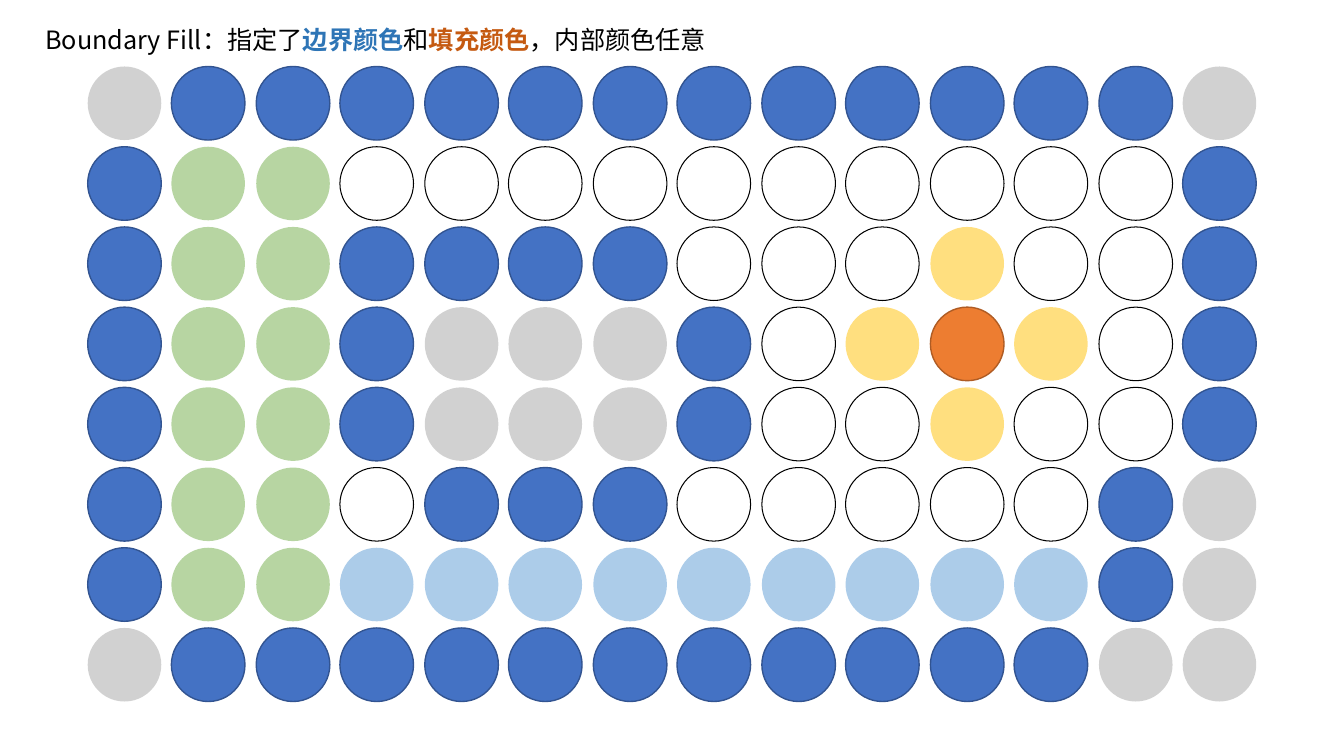
from pptx import Presentation
from pptx.dml.color import RGBColor
from pptx.enum.shapes import MSO_SHAPE as SHAPE
from pptx.oxml.ns import qn
from pptx.util import Inches, Pt
from lxml.etree import SubElement

FONT = "Noto Sans CJK SC"
TITLE = [
    ("Boundary Fill：指定了", "000000", False),
    ("边界颜色", "2E75B6", True),
    ("和", "000000", False),
    ("填充颜色", "C55A11", True),
    ("，内部颜色任意", "000000", False),
]
PIXELS = [
    "xBBBBBBBBBBBBx",
    "BGG..........B",
    "BGGBBBB...Y..B",
    "BGGBxxxB.YSY.B",
    "BGGBxxxB..Y..B",
    "BGG.BBB.....Bx",
    "BGGLLLLLLLLLBx",
    "xBBBBBBBBBBBxx",
]
STYLES = {
    "B": ("4472C4", 100, "325491", 1),
    "S": ("ED7D31", 100, "AF5C24", 1),
    ".": (None, 100, "000000", 0.75),
    "x": ("A5A5A5", 50, None, 0),
    "G": ("70AD47", 50, None, 0),
    "L": ("5B9BD5", 50, None, 0),
    "Y": ("FFC000", 50, None, 0),
}
LEFT, TOP, SIZE = 0.87, 0.66, 0.73
PAIR_PITCH, PAIR_STEP = 10.03 / 6, 0.83
ROW_PITCH = 5.57 / 7


def paint(fmt, color, alpha=100):
    fmt.solid()
    fmt.fore_color.rgb = RGBColor.from_string(color)
    if alpha < 100:
        clr = fmt.fore_color._xFill.find(qn("a:srgbClr"))
        SubElement(clr, qn("a:alpha")).set("val", str(alpha * 1000))


def add_pixel(s, col, row, kind):
    fill, alpha, line, width = STYLES[kind]
    pair, second = divmod(col, 2)
    x = LEFT + pair * PAIR_PITCH + second * PAIR_STEP
    y = TOP + row * ROW_PITCH
    sp = s.shapes.add_shape(SHAPE.OVAL, Inches(x), Inches(y), Inches(SIZE), Inches(SIZE))
    sp.shadow.inherit = False
    if fill:
        paint(sp.fill, fill, alpha)
    else:
        sp.fill.background()
    if line:
        paint(sp.line.fill, line)
        sp.line.width = Pt(width)
    else:
        sp.line.fill.background()


def add_title(s):
    tf = s.shapes.add_textbox(Inches(0.35), Inches(0.19), Inches(7.45), Inches(0.4)).text_frame
    tf.word_wrap = True
    p = tf.paragraphs[0]
    for text, color, bold in TITLE:
        r = p.add_run()
        r.text = text
        r.font.size = Pt(18)
        r.font.name = FONT
        r.font.bold = bold
        paint(r.font.fill, color)
        SubElement(r.font._element, qn("a:ea")).set("typeface", FONT)


prs = Presentation()
prs.slide_width, prs.slide_height = Inches(13.33), Inches(7.5)
s = prs.slides.add_slide(prs.slide_layouts[6])
for row, kinds in enumerate(PIXELS):
    for col, kind in enumerate(kinds):
        add_pixel(s, col, row, kind)
add_title(s)
prs.save("out.pptx")
